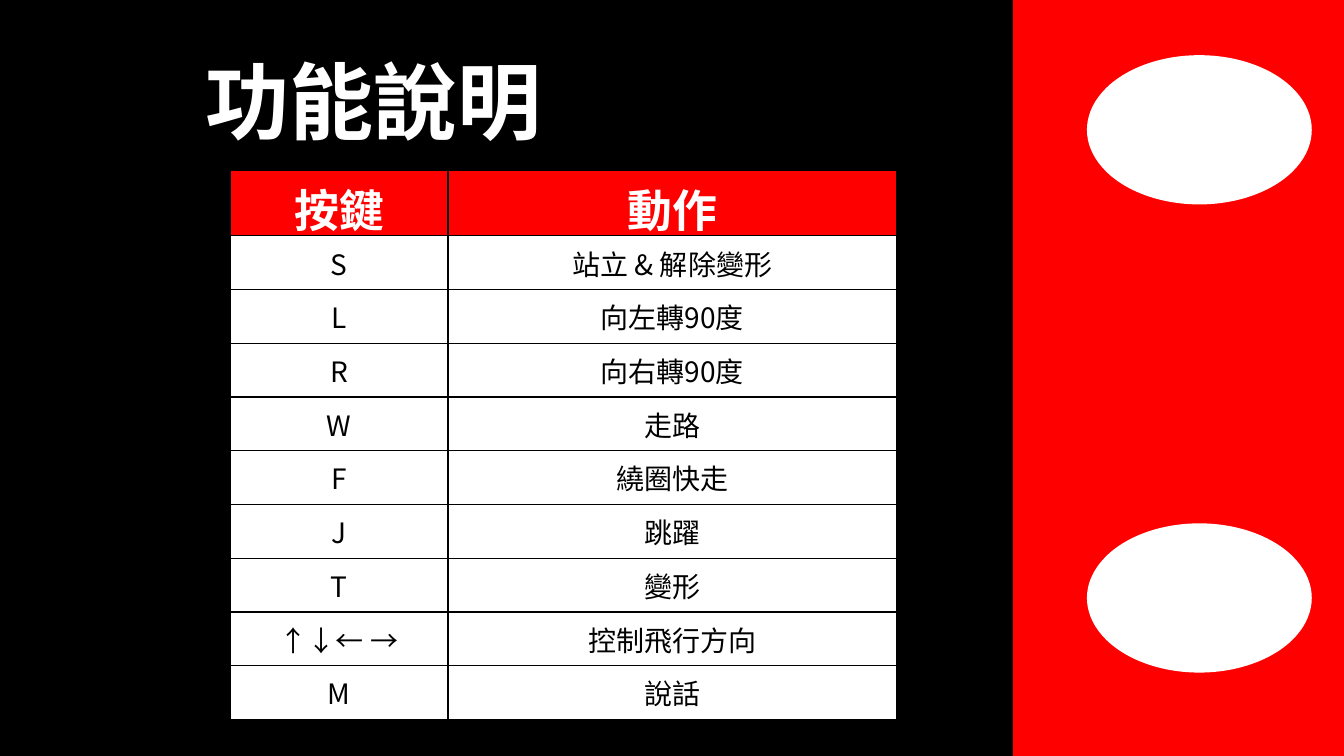
from lxml.etree import SubElement
from pptx import Presentation
from pptx.dml.color import RGBColor
from pptx.enum.shapes import MSO_SHAPE
from pptx.enum.text import MSO_ANCHOR, MSO_AUTO_SIZE, PP_ALIGN
from pptx.oxml.ns import qn
from pptx.util import Pt

FONT = "Noto Sans CJK SC"
HUES = {"black": "000000", "red": "FF0000", "white": "FFFFFF"}
WIDTHS = [155.5, 320.4]
HEAD, ROW = 46.5, 38.4
KEYS = [
    ("按鍵", "動作"),
    ("S", "站立 & 解除變形"),
    ("L", "向左轉90度"),
    ("R", "向右轉90度"),
    ("W", "走路"),
    ("F", "繞圈快走"),
    ("J", "跳躍"),
    ("T", "變形"),
    ("↑↓← →", "控制飛行方向"),
    ("M", "說話"),
]


def paint(fill, hue):
    fill.solid()
    fill.fore_color.rgb = RGBColor.from_string(HUES[hue])


def add_run(para, text, size, hue, bold):
    run = para.add_run()
    run.text = text
    font = run.font
    font.size, font.bold, font.name = Pt(size), bold, FONT
    font.color.rgb = RGBColor.from_string(HUES[hue])
    SubElement(font._element, qn("a:ea"), typeface=FONT)


def add_title(slide, text):
    title = slide.shapes.title
    title.left, title.top = Pt(139.7), Pt(31.7)
    title.width, title.height = Pt(257), Pt(80)
    frame = title.text_frame
    frame.word_wrap = False
    frame.auto_size = MSO_AUTO_SIZE.SHAPE_TO_FIT_TEXT
    frame.vertical_anchor = MSO_ANCHOR.TOP
    para = frame.paragraphs[0]
    para.alignment = PP_ALIGN.LEFT
    add_run(para, text, 60, "white", True)


def add_edges(cell):
    props = cell._tc.get_or_add_tcPr()
    for place, side in enumerate(("lnL", "lnR", "lnT", "lnB")):
        line = props.makeelement(qn("a:" + side), {"w": str(Pt(1))})
        fill = SubElement(line, qn("a:solidFill"))
        SubElement(fill, qn("a:srgbClr"), val=HUES["black"])
        props.insert(place, line)


def fill_cell(cell, text, head):
    paint(cell.fill, "red" if head else "white")
    add_edges(cell)
    cell.vertical_anchor = MSO_ANCHOR.MIDDLE
    para = cell.text_frame.paragraphs[0]
    para.alignment = PP_ALIGN.CENTER
    add_run(para, text, 32 if head else 20, "white" if head else "black", head)


def add_keys(slide):
    high = HEAD + ROW * (len(KEYS) - 1)
    table = slide.shapes.add_table(
        len(KEYS), len(WIDTHS), Pt(164.5), Pt(122), Pt(sum(WIDTHS)), Pt(high)
    ).table
    for col, width in zip(table.columns, WIDTHS):
        col.width = Pt(width)
    for index, texts in enumerate(KEYS):
        table.rows[index].height = Pt(ROW if index else HEAD)
        for col, text in enumerate(texts):
            fill_cell(table.cell(index, col), text, index == 0)


def add_block(slide, kind, box, hue, turn=0):
    shape = slide.shapes.add_shape(kind, *map(Pt, box))
    shape.rotation = turn
    shape.shadow.inherit = False
    paint(shape.fill, hue)
    shape.line.fill.background()


def main():
    deck = Presentation()
    deck.slide_width, deck.slide_height = Pt(960), Pt(540)
    slide = deck.slides.add_slide(deck.slide_layouts[5])
    paint(slide.background.fill, "black")
    add_title(slide, "功能說明")
    add_keys(slide)
    add_block(slide, MSO_SHAPE.RECTANGLE, (723.6, 0, 236.4, 540), "red")
    for top in (346.8, 12.4):
        add_block(slide, MSO_SHAPE.OVAL, (803.4, top, 106.6, 160.6), "white", 90)
    deck.save("out.pptx")


if __name__ == "__main__":
    main()
